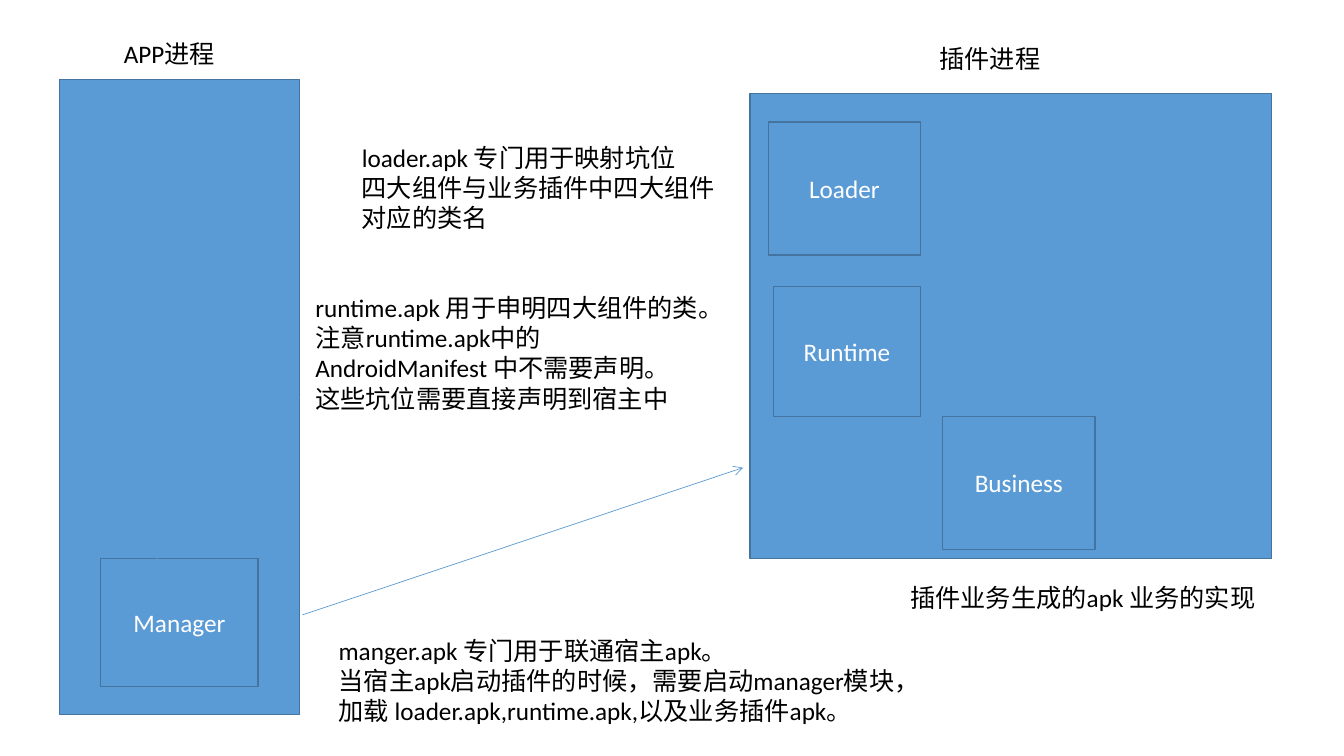
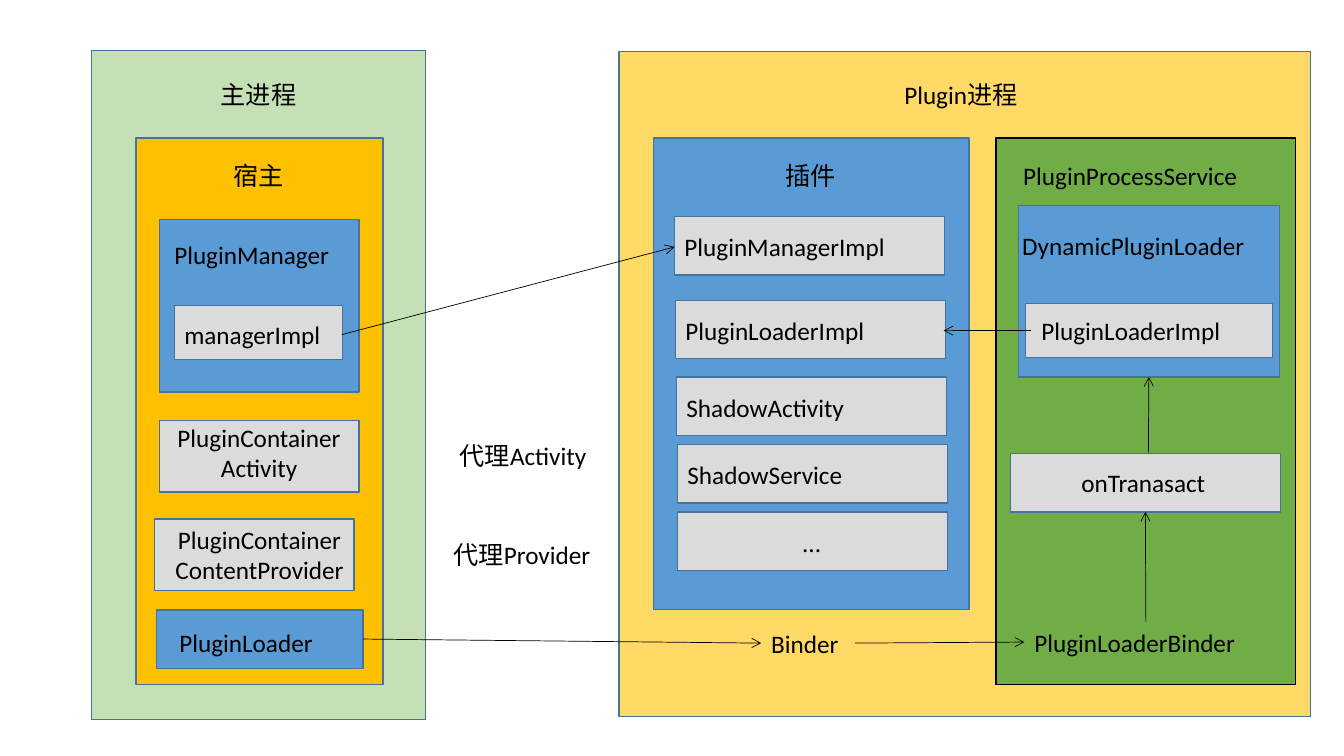
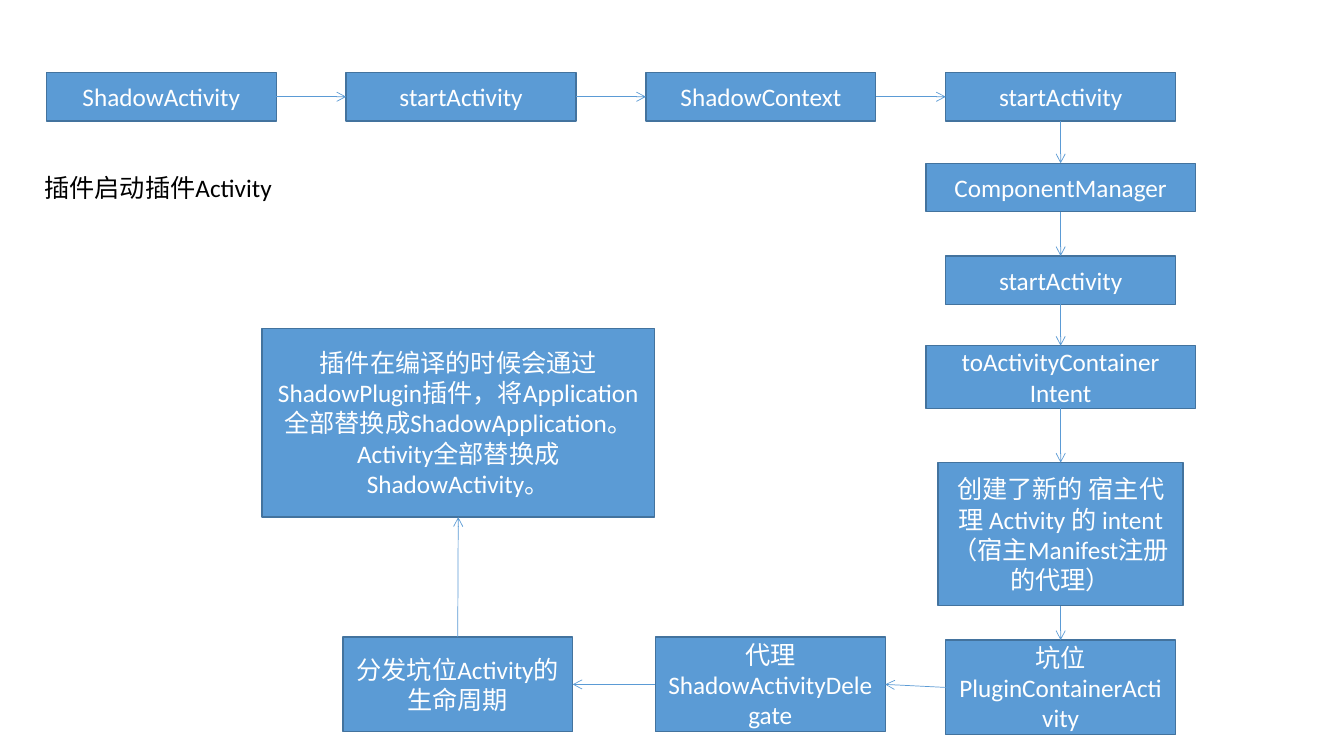
from lxml.etree import SubElement
from pptx import Presentation
from pptx.dml.color import RGBColor
from pptx.enum.shapes import MSO_CONNECTOR, MSO_SHAPE
from pptx.enum.text import MSO_ANCHOR, MSO_AUTO_SIZE, PP_ALIGN
from pptx.oxml.ns import qn
from pptx.util import Inches, Pt

# Shared look
BLUE = RGBColor(0x5B, 0x9B, 0xD5)
EDGE = RGBColor(0x43, 0x73, 0x9E)
GREY = RGBColor(0xDB, 0xDB, 0xDB)
MINT = RGBColor(0xC5, 0xE0, 0xB4)
AMBER = RGBColor(0xFF, 0xC0, 0x00)
SAND = RGBColor(0xFF, 0xD9, 0x66)
GREEN = RGBColor(0x70, 0xAD, 0x47)
BLACK = RGBColor(0, 0, 0)
WHITE = RGBColor(0xFF, 0xFF, 0xFF)
FONT, SIZE = "Calibri", Pt(18)
TOP, LEFT, BOTTOM, RIGHT = range(4)


def write(frame, text, color, align):
    frame.text = text
    for para in frame.paragraphs:
        para.alignment = align
        for run in para.runs:
            run.font.name = FONT
            run.font.size = SIZE
            run.font.color.rgb = color


def block(slide, x, y, w, h, text="", fill=BLUE, edge=EDGE):
    """Filled rectangle with centred white text."""
    shape = slide.shapes.add_shape(
        MSO_SHAPE.RECTANGLE, Inches(x), Inches(y), Inches(w), Inches(h))
    shape.shadow.inherit = False
    shape.fill.solid()
    shape.fill.fore_color.rgb = fill
    shape.line.color.rgb = edge
    shape.line.width = Pt(1)
    if text:
        shape.text_frame.vertical_anchor = MSO_ANCHOR.MIDDLE
        write(shape.text_frame, text, WHITE, PP_ALIGN.CENTER)
    return shape


def label(slide, x, y, w, text, align=PP_ALIGN.LEFT, wrap=False):
    """Black text, as high as its lines need."""
    high = 0.4 + 0.3 * text.count("\n")
    box = slide.shapes.add_textbox(
        Inches(x), Inches(y), Inches(w), Inches(high))
    frame = box.text_frame
    frame.word_wrap = wrap
    frame.auto_size = MSO_AUTO_SIZE.SHAPE_TO_FIT_TEXT
    write(frame, text, BLACK, align)
    return box


def arrow(slide, x1, y1, x2, y2, color):
    line = slide.shapes.add_connector(
        MSO_CONNECTOR.STRAIGHT,
        Inches(x1), Inches(y1), Inches(x2), Inches(y2))
    line.line.color.rgb = color
    line.line.width = Pt(0.5)
    props = line._element.spPr
    SubElement(props.find(qn("a:ln")), qn("a:tailEnd"), type="arrow")
    SubElement(props, qn("a:effectLst"))
    return line


def join(slide, start, out, end, into, color=BLUE):
    line = arrow(slide, 0, 0, 0, 0, color)
    line.begin_connect(start, out)
    line.end_connect(end, into)


def chain(slide, shapes, out, into):
    for start, end in zip(shapes, shapes[1:]):
        join(slide, start, out, end, into)


# Slide 1: the two processes and their packages
def app_side(slide, x, y):
    host = block(slide, x, y, 2.38, 6.3)
    core = block(slide, x + 0.41, y + 4.75, 1.56, 1.27, "Manager")
    join(slide, host, RIGHT, core, LEFT)
    label(slide, x + 0.54, y - 0.46, 1.19, "APP进程")


def plug_side(slide, x, y):
    block(slide, x, y, 5.17, 4.61)
    block(slide, x + 0.18, y + 0.28, 1.51, 1.32, "Loader")
    block(slide, x + 0.23, y + 1.91, 1.46, 1.29, "Runtime")
    block(slide, x + 1.91, y + 3.2, 1.51, 1.32, "Business")
    label(slide, x + 1.78, y - 0.55, 1.2, "插件进程")
    label(slide, x + 1.49, y + 4.8, 3.68,
          "插件业务生成的apk 业务的实现", wrap=True)


def process(slide):
    app_side(slide, 0.59, 0.79)
    plug_side(slide, 7.44, 0.93)
    label(slide, 3.26, 6.25, 6.09,
          "manger.apk 专门用于联通宿主apk。\n"
          "当宿主apk启动插件的时候，需要启动manager模块，\n"
          "加载 loader.apk,runtime.apk,以及业务插件apk。")
    label(slide, 3.49, 1.36, 3.7,
          "loader.apk 专门用于映射坑位\n"
          "四大组件与业务插件中四大组件\n对应的类名")
    label(slide, 3.03, 2.85, 4.34,
          "runtime.apk 用于申明四大组件的类。\n注意runtime.apk中的\n"
          "AndroidManifest 中不需要声明。\n这些坑位需要直接声明到宿主中")
    arrow(slide, 3, 6.1, 7.37, 4.64, BLUE)


# Slide 2: the parts inside each process
def main_side(slide, x, y):
    """Main process; returns the ends of its two arrows."""
    mid = PP_ALIGN.CENTER
    block(slide, x, y, 3.31, 6.64, fill=MINT)
    label(slide, x + 1.18, y + 0.24, 0.95, "主进程")
    block(slide, x + 0.44, y + 0.87, 2.45, 5.42, fill=AMBER)
    label(slide, x + 1.31, y + 1.04, 0.7, "宿主")
    block(slide, x + 0.67, y + 1.68, 1.98, 1.71)
    label(slide, x + 0.72, y + 1.83, 1.88, "PluginManager")
    block(slide, x + 0.82, y + 2.53, 1.67, 0.54, fill=GREY)
    inner = label(slide, x + 0.82, y + 2.62, 1.66, "managerImpl")
    block(slide, x + 0.67, y + 3.67, 1.98, 0.71, fill=GREY)
    label(slide, x + 0.67, y + 3.64, 1.98, "PluginContainer\nActivity", mid)
    block(slide, x + 0.62, y + 4.65, 1.98, 0.71, fill=GREY)
    label(slide, x + 0.65, y + 4.65, 2.03,
          "PluginContainer\nContentProvider", mid)
    loader = block(slide, x + 0.64, y + 5.55, 2.05, 0.58)
    label(slide, x + 0.77, y + 5.67, 1.68, "PluginLoader")
    return inner, loader


def plugin(slide, x, y):
    """Plugin with its classes; returns their labels."""
    block(slide, x, y, 3.13, 4.68)
    label(slide, x + 1.21, y + 0.17, 0.7, "插件")
    rows = ((0.21, 0.78, "PluginManagerImpl"),
            (0.22, 1.61, "PluginLoaderImpl"),
            (0.23, 2.37, "ShadowActivity"),
            (0.24, 3.04, "ShadowService"),
            (0.24, 3.71, "..."))
    names = []
    for dx, dy, text in rows:
        align = PP_ALIGN.CENTER if text == "..." else PP_ALIGN.LEFT
        block(slide, x + dx, y + dy, 2.68, 0.58, fill=GREY)
        names.append(label(slide, x + dx, y + dy + 0.1, 2.66,
                           text, align, True))
    return names


def service(slide, x, y):
    """Service process; returns its loader and binder labels."""
    block(slide, x, y, 2.97, 5.42, fill=GREEN, edge=BLACK)
    label(slide, x + 0.17, y + 0.17, 2.63, "PluginProcessService")
    outer = block(slide, x + 0.22, y + 0.67, 2.59, 1.7)
    label(slide, x + 0.16, y + 0.87, 2.65, "DynamicPluginLoader")
    block(slide, x + 0.29, y + 1.64, 2.45, 0.54, fill=GREY)
    loader = label(slide, x + 0.35, y + 1.71, 2.45,
                   "PluginLoaderImpl", wrap=True)
    call = block(slide, x + 0.14, y + 3.13, 2.68, 0.58, fill=GREY)
    label(slide, x + 0.13, y + 3.22, 2.66, "onTranasact",
          PP_ALIGN.CENTER, True)
    binder = label(slide, x + 0.28, y + 4.8, 2.41, "PluginLoaderBinder")
    join(slide, binder, TOP, call, BOTTOM, BLACK)
    rise = arrow(slide, x + 1.51, y + 3.12, x + 1.51, y + 2.37, BLACK)
    rise.end_connect(outer, BOTTOM)
    return loader, binder


def layout(slide):
    inner, loader = main_side(slide, 0.91, 0.5)
    block(slide, 6.14, 0.51, 6.86, 6.6, fill=SAND)
    label(slide, 8.87, 0.74, 1.39, "Plugin进程")
    names = plugin(slide, 6.48, 1.37)
    remote, target = service(slide, 9.88, 1.37)
    binder = label(slide, 7.55, 6.18, 0.93, "Binder")
    for start, out, end, into in (
            (inner, RIGHT, names[0], LEFT),
            (loader, RIGHT, binder, LEFT),
            (binder, RIGHT, target, LEFT),
            (remote, LEFT, names[1], RIGHT)):
        join(slide, start, out, end, into, BLACK)
    label(slide, 4.4, 5.3, 1.63, "代理Provider")
    label(slide, 4.46, 4.32, 1.51, "代理Activity")


# Slide 3: how one plugin activity starts another
def top_row(slide, x, y):
    names = ("ShadowActivity", "startActivity",
             "ShadowContext", "startActivity")
    steps = [block(slide, x + i * 8.92 / 3, y, 2.28, 0.48, name)
             for i, name in enumerate(names)]
    chain(slide, steps, RIGHT, LEFT)
    return steps[-1]


def column(slide, mid, y, first):
    rows = ((0, 2.67, 0.48, "ComponentManager"),
            (0.92, 2.28, 0.48, "startActivity"),
            (1.81, 2.67, 0.62, "toActivityContainer\nIntent"),
            (2.97, 2.43, 1.42, "创建了新的 宿主代理 Activity 的 intent"
                               "（宿主Manifest注册的代理）"),
            (4.73, 2.28, 0.94, "坑位PluginContainerActivity"))
    steps = [first] + [block(slide, mid - w / 2, y + dy, w, h, text)
                       for dy, w, h, text in rows]
    chain(slide, steps, BOTTOM, TOP)
    return steps[-1]


def end_row(slide, x, y, first):
    proxy = block(slide, x + 3.1, y, 2.28, 0.94, "代理ShadowActivityDelegate")
    cycle = block(slide, x, y, 2.28, 0.94, "分发坑位Activity的生命周期")
    chain(slide, (first, proxy, cycle), LEFT, RIGHT)
    build = block(slide, x - 0.8, y - 3.06, 3.89, 1.87,
                  "插件在编译的时候会通过ShadowPlugin插件，将Application "
                  "全部替换成ShadowApplication。"
                  "Activity全部替换成ShadowActivity。")
    join(slide, cycle, TOP, build, BOTTOM)


def flow(slide):
    label(slide, 0.34, 1.66, 2.51, "插件启动插件Activity")
    last = top_row(slide, 0.46, 0.72)
    last = column(slide, 10.52, 1.62, last)
    end_row(slide, 3.4, 6.32, last)


def main():
    deck = Presentation()
    deck.slide_width, deck.slide_height = Inches(13.33), Inches(7.5)
    for draw in (process, layout, flow):
        draw(deck.slides.add_slide(deck.slide_layouts[6]))
    deck.save("out.pptx")


if __name__ == "__main__":
    main()
